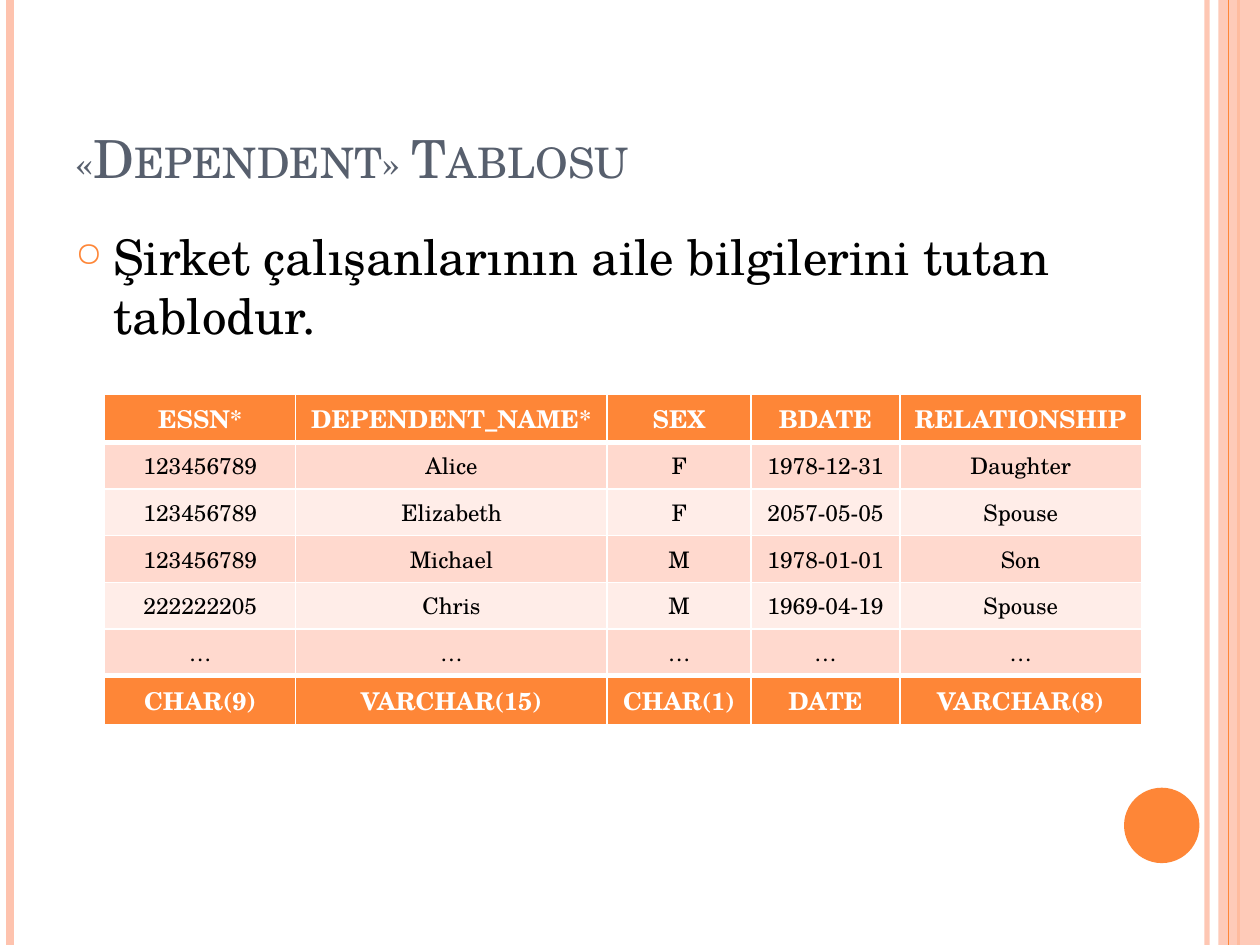
from dataclasses import dataclass

from lxml import etree
from pptx import Presentation
from pptx.dml.color import RGBColor
from pptx.enum.shapes import MSO_CONNECTOR, MSO_SHAPE
from pptx.enum.text import MSO_ANCHOR, PP_ALIGN
from pptx.oxml.ns import qn
from pptx.util import Cm, Pt

STRAIGHT = MSO_CONNECTOR.STRAIGHT
RECTANGLE, OVAL = MSO_SHAPE.RECTANGLE, MSO_SHAPE.OVAL
TOP, MIDDLE, BOTTOM = MSO_ANCHOR.TOP, MSO_ANCHOR.MIDDLE, MSO_ANCHOR.BOTTOM
CENTER = PP_ALIGN.CENTER


@dataclass(frozen=True)
class Theme:
    font: str = "TeX Gyre Schola"
    accent: str = "FE8637"
    pale: str = "FEC3AE"
    title: str = "575F6D"
    text: str = "000000"
    white: str = "FFFFFF"
    bands: tuple = ("FFD9CE", "FFEDE8")
    title_size: int = 30
    body_size: int = 28
    header_size: int = 14
    cell_size: int = 13


@dataclass(frozen=True)
class Stripe:
    x: float
    color: str
    width: float
    opacity: int = 100


@dataclass(frozen=True)
class Box:
    left: float
    top: float
    width: float
    height: float

    def lengths(self) -> tuple:
        return Cm(self.left), Cm(self.top), Cm(self.width), Cm(self.height)


THEME = Theme()
SLIDE_WIDTH, SLIDE_HEIGHT = 25.4, 19.05
BACK_STRIPES = (
    Stripe(24.33, THEME.pale, 3, 93),
    Stripe(0.2, THEME.pale, 4.5),
    Stripe(24.97, THEME.accent, 1.5),
)
FRONT_STRIPE = Stripe(24.77, THEME.accent, 0.75)
BAND = Box(24.56, 0, 0.84, SLIDE_HEIGHT)
CIRCLE = Box(22.66, 15.88, 1.52, 1.52)
TITLE_BOX = Box(1.27, 0.76, 20.75, 3.18)
BODY_BOX = Box(1.27, 4.45, 20.75, 3.48)

TABLE_LEFT, TABLE_TOP = 2.11, 7.94
COLUMN_WIDTHS = (3.85, 6.28, 2.9, 3.0, 4.87)
HEADER_HEIGHT, ROW_HEIGHT = 0.98, 0.94
ROWS = (
    ("ESSN*", "DEPENDENT_NAME*", "SEX", "BDATE", "RELATIONSHIP"),
    ("123456789", "Alice", "F", "1978-12-31", "Daughter"),
    ("123456789", "Elizabeth", "F", "2057-05-05", "Spouse"),
    ("123456789", "Michael", "M", "1978-01-01", "Son"),
    ("222222205", "Chris", "M", "1969-04-19", "Spouse"),
    ("…",) * len(COLUMN_WIDTHS),
    ("CHAR(9)", "VARCHAR(15)", "CHAR(1)", "DATE", "VARCHAR(8)"),
)


def add_child(parent, tag: str, **attributes: str):
    return etree.SubElement(parent, qn(tag), attributes)


def set_opacity(element, percent: int) -> None:
    if percent < 100:
        color = next(element.iter(qn("a:srgbClr")))
        add_child(color, "a:alpha", val=str(percent * 1000))


def set_font(paragraph, size: float, color: str, bold: bool = False) -> None:
    font = paragraph.font
    font.name, font.size, font.bold = THEME.font, Pt(size), bold
    font.color.rgb = RGBColor.from_string(color)


def add_stripe(slide, stripe: Stripe) -> None:
    x = Cm(stripe.x)
    connector = slide.shapes.add_connector(STRAIGHT, x, 0, x, Cm(SLIDE_HEIGHT))
    connector.line.color.rgb = RGBColor.from_string(stripe.color)
    connector.line.width = Pt(stripe.width)
    properties = connector._element.spPr
    set_opacity(properties, stripe.opacity)
    add_child(properties, "a:effectLst")


def add_plain_shape(slide, kind, box: Box, color: str, opacity: int = 100) -> None:
    shape = slide.shapes.add_shape(kind, *box.lengths())
    shape.shadow.inherit = False
    shape.fill.solid()
    shape.fill.fore_color.rgb = RGBColor.from_string(color)
    shape.line.fill.background()
    set_opacity(shape._element.spPr, opacity)


def add_text(slide, box: Box, text: str, size: float, color: str, anchor):
    """Add a wrapped one-paragraph text box and return its paragraph."""
    frame = slide.shapes.add_textbox(*box.lengths()).text_frame
    frame.word_wrap = True
    frame.vertical_anchor = anchor
    paragraph = frame.paragraphs[0]
    paragraph.text = text
    set_font(paragraph, size, color)
    return paragraph


def add_title(slide) -> None:
    paragraph = add_text(slide, TITLE_BOX, "«Dependent» Tablosu",
                         THEME.title_size, THEME.title, BOTTOM)
    paragraph.runs[0]._r.get_or_add_rPr().set("cap", "small")


def add_bullet(slide) -> None:
    paragraph = add_text(slide, BODY_BOX,
                         "Şirket çalışanlarının aile bilgilerini tutan tablodur.",
                         THEME.body_size, THEME.text, TOP)
    paragraph.space_before = Pt(6)
    properties = paragraph._p.get_or_add_pPr()
    indent = Cm(0.76)
    properties.set("marL", str(indent))
    properties.set("indent", str(-indent))
    defaults = properties.find(qn("a:defRPr"))
    color = etree.Element(qn("a:buClr"))
    add_child(color, "a:srgbClr", val=THEME.accent)
    size = etree.Element(qn("a:buSzPct"), val="70000")
    character = etree.Element(qn("a:buChar"), char="○")
    for element in (color, size, character):
        defaults.addprevious(element)


def set_borders(cell, top: float, bottom: float) -> None:
    properties = cell._tc.get_or_add_tcPr()
    for side, width in (("L", 1), ("R", 1), ("T", top), ("B", bottom)):
        line = add_child(properties, f"a:ln{side}", w=str(Pt(width)))
        add_child(add_child(line, "a:solidFill"), "a:srgbClr", val=THEME.white)


def fill_cell(cell, text: str, row_index: int) -> None:
    last = len(ROWS) - 1
    strong = row_index in (0, last)
    set_borders(cell, top=3 if row_index in (1, last) else 1,
                bottom=3 if row_index in (0, last - 1) else 1)
    color = THEME.accent if strong else THEME.bands[(row_index - 1) % 2]
    cell.fill.solid()
    cell.fill.fore_color.rgb = RGBColor.from_string(color)
    cell.vertical_anchor = MIDDLE
    paragraph = cell.text_frame.paragraphs[0]
    paragraph.text = text
    paragraph.alignment = CENTER
    if strong:
        set_font(paragraph, THEME.header_size, THEME.white, bold=True)
    else:
        set_font(paragraph, THEME.cell_size, THEME.text)


def add_dependent_table(slide) -> None:
    heights = [HEADER_HEIGHT, *[ROW_HEIGHT] * (len(ROWS) - 2), HEADER_HEIGHT]
    box = Box(TABLE_LEFT, TABLE_TOP, sum(COLUMN_WIDTHS), sum(heights))
    table = slide.shapes.add_table(len(ROWS), len(COLUMN_WIDTHS), *box.lengths()).table
    for column, width in zip(table.columns, COLUMN_WIDTHS):
        column.width = Cm(width)
    for row_index, (row, height, values) in enumerate(zip(table.rows, heights, ROWS)):
        row.height = Cm(height)
        for cell, value in zip(row.cells, values):
            fill_cell(cell, value, row_index)


def main() -> None:
    presentation = Presentation()
    presentation.slide_width, presentation.slide_height = Cm(SLIDE_WIDTH), Cm(SLIDE_HEIGHT)
    slide = presentation.slides.add_slide(presentation.slide_layouts[6])
    for stripe in BACK_STRIPES:
        add_stripe(slide, stripe)
    add_plain_shape(slide, RECTANGLE, BAND, THEME.pale, opacity=87)
    add_stripe(slide, FRONT_STRIPE)
    add_plain_shape(slide, OVAL, CIRCLE, THEME.accent)
    add_title(slide)
    add_dependent_table(slide)
    add_bullet(slide)
    presentation.save("out.pptx")


if __name__ == "__main__":
    main()
